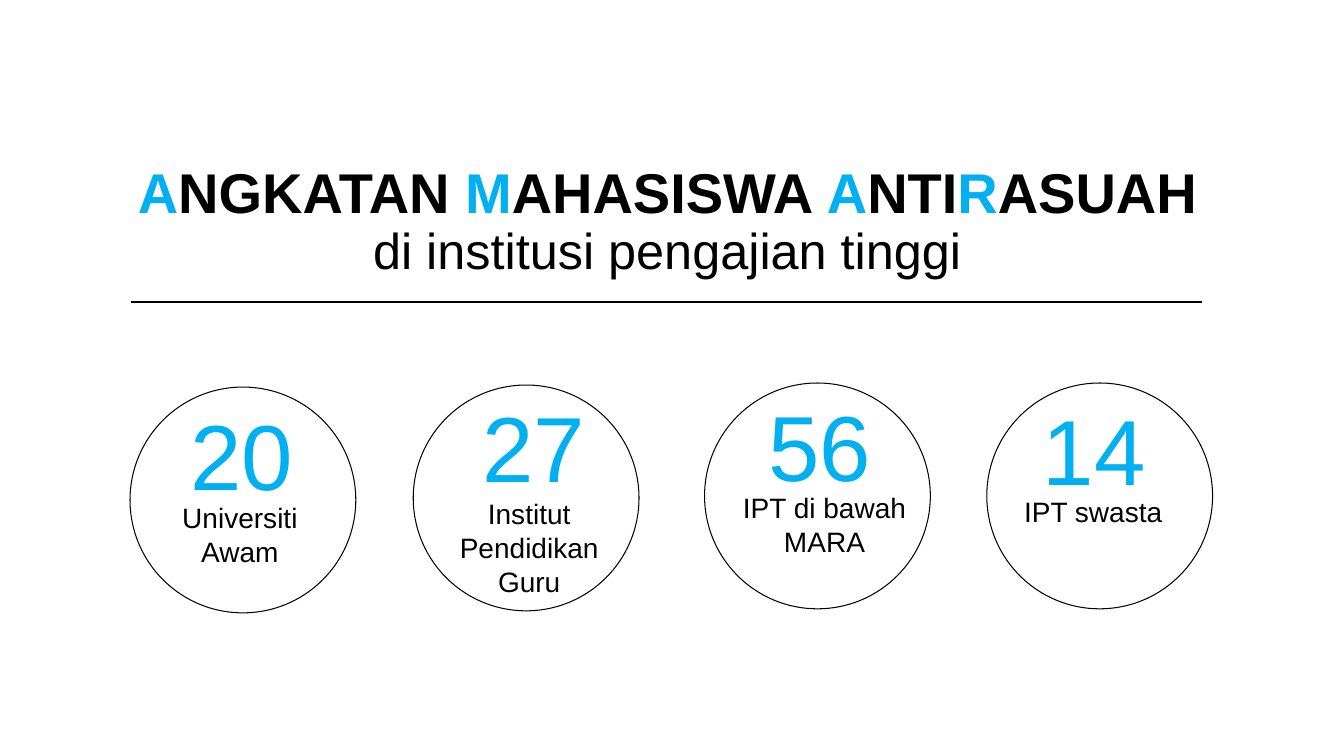
from dataclasses import dataclass

import pptx
import pptx.dml.color
import pptx.enum.shapes
import pptx.enum.text
import pptx.oxml.ns
import pptx.util
from lxml import etree

# Grid of 40 columns by 22.5 rows, with square cells
SLIDE_WIDTH = pptx.util.Inches(13.33)
SLIDE_HEIGHT = pptx.util.Inches(7.5)
COLUMNS, ROWS = 40, 22.5
FONT = "Arial"
BLACK, BLUE = "000000", "00B0F0"
DIAMETER = 6.72
NUMBER_SIZE = (3.69, 3.63)


@dataclass(frozen=True)
class Run:
    text: str
    size: float
    color: str = BLACK
    bold: bool = False


@dataclass(frozen=True)
class Box:
    column: float
    row: float
    width: float
    height: float


@dataclass(frozen=True)
class InstitutionCount:
    number: str
    label: str
    circle: Box
    number_box: Box
    label_box: Box


def across(columns: float) -> int:
    return round(SLIDE_WIDTH * columns / COLUMNS)


def down(rows: float) -> int:
    return round(SLIDE_HEIGHT * rows / ROWS)


def place(box: Box) -> tuple[int, int, int, int]:
    return across(box.column), down(box.row), across(box.width), down(box.height)


def rgb(color: str) -> pptx.dml.color.RGBColor:
    return pptx.dml.color.RGBColor.from_string(color)


def add_text(slide, box: Box, paragraphs: list[list[Run]], *, wrap: bool = True,
             line_spacing: float = 1.0) -> None:
    frame = slide.shapes.add_textbox(*place(box)).text_frame
    frame.word_wrap = wrap
    for index, runs in enumerate(paragraphs):
        paragraph = frame.add_paragraph() if index else frame.paragraphs[0]
        paragraph.alignment = pptx.enum.text.PP_ALIGN.CENTER
        paragraph.line_spacing = line_spacing
        for item in runs:
            run = paragraph.add_run()
            run.text = item.text
            run.font.name = FONT
            run.font.size = pptx.util.Pt(item.size)
            run.font.bold = item.bold
            run.font.color.rgb = rgb(item.color)


def add_circle(slide, box: Box) -> None:
    circle = slide.shapes.add_shape(pptx.enum.shapes.MSO_SHAPE.OVAL, *place(box))
    circle.shadow.inherit = False
    circle.fill.background()
    circle.line.color.rgb = rgb(BLACK)
    circle.line.width = pptx.util.Pt(0.75)


def add_rule(slide, start: float, end: float, row: float) -> None:
    rule = slide.shapes.add_connector(
        pptx.enum.shapes.MSO_CONNECTOR.STRAIGHT,
        across(start), down(row), across(end), down(row))
    rule.line.color.rgb = rgb(BLACK)
    rule.line.width = pptx.util.Pt(1.5)
    etree.SubElement(rule.element.spPr, pptx.oxml.ns.qn("a:effectLst"))


def add_count(slide, count: InstitutionCount) -> None:
    add_circle(slide, count.circle)
    add_text(slide, count.label_box, [[Run(count.label, 20)]])
    add_text(slide, count.number_box, [[Run(count.number, 66, BLUE)]], wrap=False)


COUNTS = [
    InstitutionCount("20", "Universiti Awam", Box(3.87, 11.52, DIAMETER, DIAMETER),
                     Box(5.34, 11.7, *NUMBER_SIZE), Box(4.44, 14.76, 5.4, 2.31)),
    InstitutionCount("27", "Institut Pendidikan Guru", Box(12.3, 11.46, DIAMETER, DIAMETER),
                     Box(14.04, 11.46, *NUMBER_SIZE), Box(13.2, 14.64, 5.1, 3.33)),
    InstitutionCount("56", "IPT di bawah MARA", Box(20.97, 11.4, DIAMETER, DIAMETER),
                     Box(22.56, 11.43, *NUMBER_SIZE), Box(21.3, 14.46, 6.48, 2.31)),
    InstitutionCount("14", "IPT swasta", Box(29.37, 11.4, DIAMETER, DIAMETER),
                     Box(30.72, 11.55, *NUMBER_SIZE), Box(29.85, 14.58, 5.37, 1.32)),
]

# Each initial of the title is blue, the rest of its word black
TITLE_PARTS = [("A", "NGKATAN "), ("M", "AHASISWA "), ("A", "NTI"), ("R", "ASUAH")]


def main() -> None:
    presentation = pptx.Presentation()
    presentation.slide_width = SLIDE_WIDTH
    presentation.slide_height = SLIDE_HEIGHT
    slide = presentation.slides.add_slide(presentation.slide_layouts[6])

    # Circles with counts
    for count in COUNTS:
        add_count(slide, count)

    # Title and rule
    title = [Run(text, 40, color, bold=True)
             for part in TITLE_PARTS for text, color in zip(part, (BLUE, BLACK))]
    subtitle = [Run("di institusi pengajian tinggi", 36)]
    add_text(slide, Box(2.67, 4.77, 34.38, 3.27), [title, subtitle], line_spacing=0.9)
    add_rule(slide, 3.9, 35.76, 9)

    presentation.save("out.pptx")


if __name__ == "__main__":
    main()
